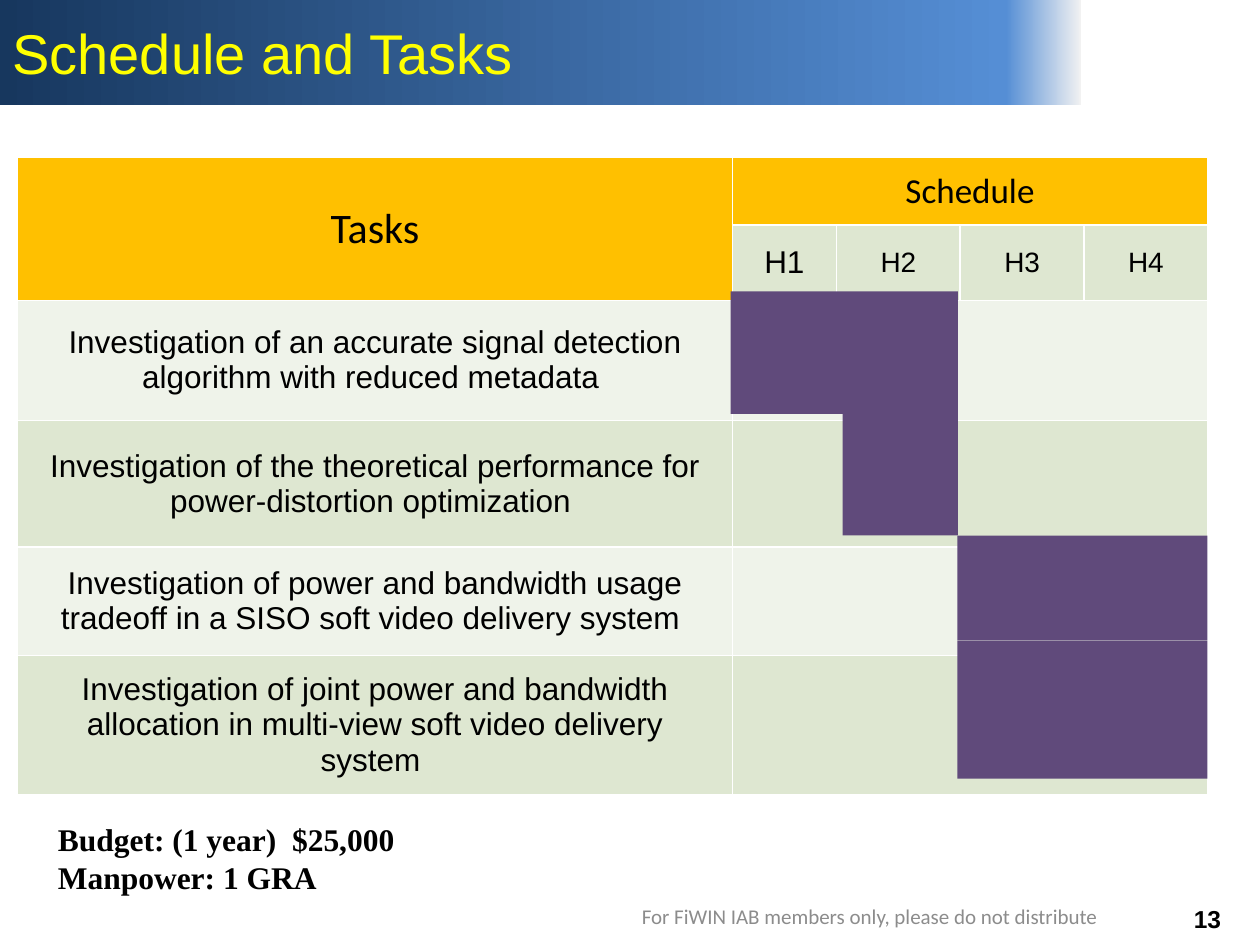
"""Build the schedule and tasks slide with its half-year plan."""
import copy

import pptx
import pptx.dml.color
import pptx.enum.shapes
import pptx.enum.text
import pptx.oxml
import pptx.oxml.ns
import pptx.util

Pt = pptx.util.Pt
Color = pptx.dml.color.RGBColor
Align = pptx.enum.text.PP_ALIGN
Anchor = pptx.enum.text.MSO_ANCHOR

BLACK = Color(0x00, 0x00, 0x00)
GRAY = Color(0x8C, 0x8C, 0x8C)
YELLOW = Color(0xFF, 0xFF, 0x00)
GOLD = Color(0xFF, 0xC0, 0x00)
GREEN = Color(0xDE, 0xE7, 0xD1)
PALE = Color(0xEF, 0xF3, 0xEA)
PURPLE = Color(0x60, 0x4A, 0x7B)
BANNER = ((0, Color(0x17, 0x37, 0x5E)), (0.93, Color(0x55, 0x8E, 0xD5)),
          (1, Color(0xF2, 0xF2, 0xF2)))

TASKS = (
    "Investigation of an accurate signal detection algorithm with reduced metadata ",
    "Investigation of the theoretical performance for power-distortion optimization ",
    "Investigation of power and bandwidth usage tradeoff in a SISO soft video delivery system ",
    "Investigation of joint power and bandwidth allocation in multi-view soft video delivery system ",
)
BARS = ((417.5, 166.5, 130, 70), (481.5, 236.5, 66, 69.5),
        (547, 306, 143, 60), (547, 366, 143, 79))


def write(frame, text, font="Arial", size=18, color=BLACK, bold=False,
          align=Align.CENTER, anchor=Anchor.MIDDLE):
    frame.word_wrap = True
    frame.vertical_anchor = anchor
    frame.text = text
    for para in frame.paragraphs:
        para.alignment = align
        para.font.name = font
        para.font.size = Pt(size)
        para.font.bold = bold
        para.font.color.rgb = color


class Deck:
    def __init__(self):
        self.file = pptx.Presentation()
        self.file.slide_width, self.file.slide_height = Pt(720), Pt(540)
        self.slide = self.file.slides.add_slide(self.file.slide_layouts[6])

    def rect(self, box, color=None):
        kind = pptx.enum.shapes.MSO_SHAPE.RECTANGLE
        shape = self.slide.shapes.add_shape(kind, *map(Pt, box))
        shape.shadow.inherit = False
        shape.line.fill.background()
        if color is not None:
            shape.fill.solid()
            shape.fill.fore_color.rgb = color
        return shape

    def title(self, box, text):
        shape = self.rect(box)
        shape.fill.gradient()
        shape.fill.gradient_angle = 0
        stops = shape._element.spPr.find(".//" + pptx.oxml.ns.qn("a:gsLst"))
        stops.append(copy.deepcopy(stops[0]))
        for stop, (place, color) in zip(shape.fill.gradient_stops, BANNER):
            stop.position = place
            stop.color.rgb = color
        write(shape.text_frame, text, size=32, color=YELLOW, align=Align.LEFT)

    def text(self, box, text, **style):
        label = self.slide.shapes.add_textbox(*map(Pt, box))
        write(label.text_frame, text, **style)

    def cell(self, cell, color, text="", **style):
        cell.margin_left = cell.margin_right = Pt(14.4)
        cell.margin_top = cell.margin_bottom = Pt(7.2)
        props = cell._tc.get_or_add_tcPr()
        for side in "LRTB":
            props.append(pptx.oxml.parse_xml(
                f'<a:ln{side} {pptx.oxml.ns.nsdecls("a")} w="12700"><a:solidFill>'
                f'<a:srgbClr val="FFFFFF"/></a:solidFill></a:ln{side}>'))
        cell.fill.solid()
        cell.fill.fore_color.rgb = color
        if text:
            write(cell.text_frame, text, **style)
            cell.vertical_anchor = Anchor.MIDDLE

    def table(self, left, top, cols, rows):
        frame = self.slide.shapes.add_table(
            len(rows), len(cols), Pt(left), Pt(top), Pt(sum(cols)), Pt(sum(rows)))
        grid = frame.table
        grid.first_row = grid.horz_banding = False
        for col, width in zip(grid.columns, cols):
            col.width = Pt(width)
        for row, height in zip(grid.rows, rows):
            row.height = Pt(height)
        return grid

    def plan(self):
        grid = self.table(10, 90, (408.5, 59.5, 70.75, 70.75, 70.75),
                          (37.5, 35.5, 68.5, 72.5, 62, 78))
        grid.cell(0, 0).merge(grid.cell(1, 0))
        grid.cell(0, 1).merge(grid.cell(0, 4))
        self.cell(grid.cell(0, 0), GOLD, "Tasks", font="Calibri", size=24)
        self.cell(grid.cell(0, 1), GOLD, "Schedule", font="Calibri", size=20)
        for col in range(1, 5):
            self.cell(grid.cell(1, col), GREEN, f"H{col}", size=18 if col == 1 else 16)
        for row, task in enumerate(TASKS, 2):
            color = GREEN if row % 2 else PALE
            grid.cell(row, 1).merge(grid.cell(row, 4))
            self.cell(grid.cell(row, 0), color, task)
            self.cell(grid.cell(row, 1), color)


def main():
    deck = Deck()
    deck.title((0, 0, 618, 60), "Schedule and Tasks")
    deck.text((666, 512.5, 48, 25), "13", size=14, bold=True)
    deck.text((26, 465, 208, 51), "Budget: (1 year)  $25,000\nManpower: 1 GRA",
              font="Times New Roman", bold=True, align=Align.LEFT, anchor=Anchor.TOP)
    deck.text((359, 509, 276, 29), "For FiWIN IAB members only, please do not distribute",
              font="Calibri", size=12, color=GRAY)
    deck.plan()
    for box in BARS:
        deck.rect(box, PURPLE)
    deck.file.save("out.pptx")


if __name__ == "__main__":
    main()
